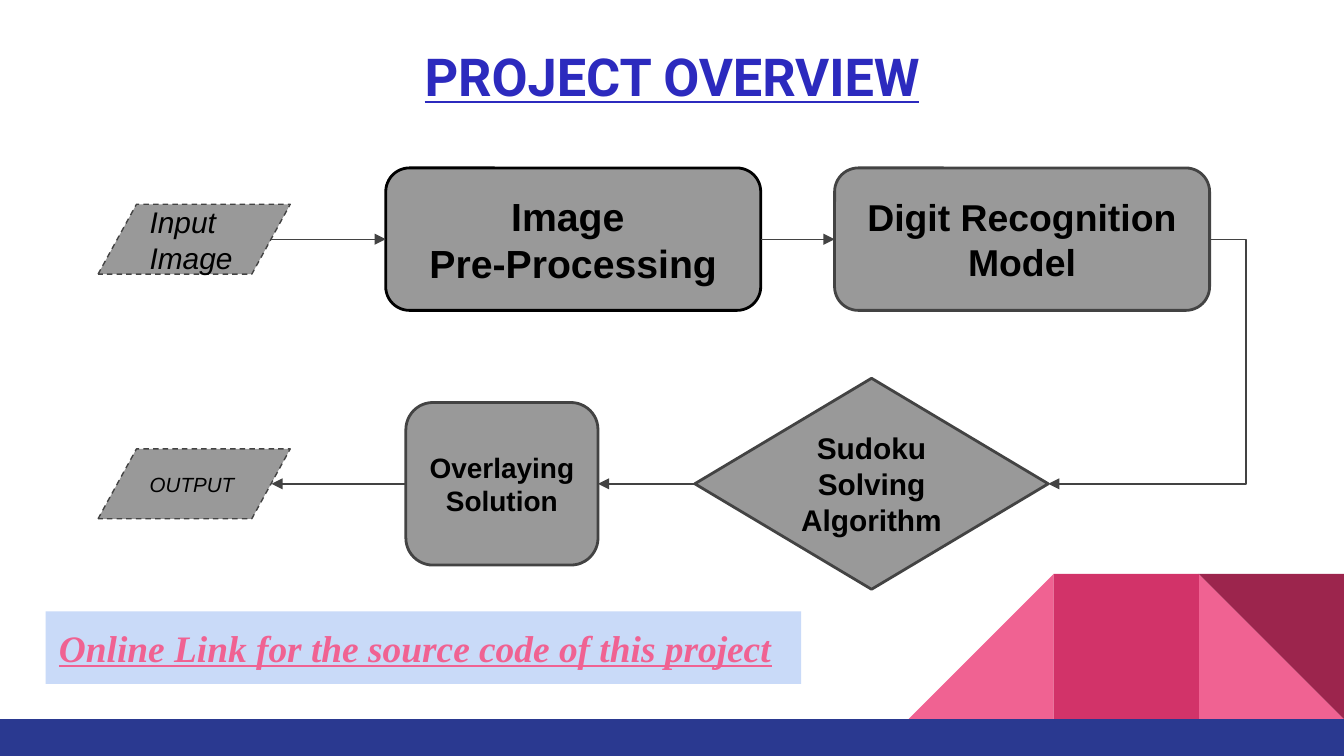
from dataclasses import dataclass
from typing import Optional

from lxml import etree
from pptx import Presentation
from pptx import util as u
from pptx.dml.color import RGBColor
from pptx.enum import dml, shapes, text
from pptx.oxml.ns import qn

COLORS = {
    "title": "2C2ABE", "node": "999999", "edge": "434343", "black": "000000",
    "pink": "F06292", "rose": "D23369", "wine": "9C254D", "navy": "2A3990",
    "banner": "C9DAF8",
}
KIND = shapes.MSO_SHAPE
SLIDE_WIDTH = 10
SLIDE_HEIGHT = SLIDE_WIDTH * 9 / 16
TOP_ROW, BOTTOM_ROW = 1.78, 3.6  # centre lines of the two rows
TILE = 1.08
TILE_TOP = 4.27


@dataclass
class Node:
    label: str
    kind: KIND
    left: float
    middle: float
    width: float
    height: float
    size: float
    edge: str = "edge"
    is_data: bool = False


@dataclass
class Arrow:
    start: tuple[float, float]
    end: tuple[float, float]
    bend: Optional[int] = None


@dataclass
class Tile:
    kind: KIND
    column: int
    color: str
    rotation: int = 0


NODES = [
    Node("Input Image", KIND.FLOWCHART_DATA, 0.73, TOP_ROW, 1.43, 0.52, 16, is_data=True),
    Node("Image \nPre-Processing", KIND.ROUNDED_RECTANGLE, 2.87, TOP_ROW, 2.79, 1.06, 21, "black"),
    Node("Digit Recognition Model", KIND.ROUNDED_RECTANGLE, 6.21, TOP_ROW, 2.79, 1.06, 20),
    Node("Sudoku Solving Algorithm", KIND.FLOWCHART_DECISION, 5.17, BOTTOM_ROW, 2.63, 1.57, 16),
    Node("Overlaying Solution", KIND.ROUNDED_RECTANGLE, 3.02, BOTTOM_ROW, 1.43, 1.21, 15),
    Node("OUTPUT", KIND.FLOWCHART_DATA, 0.73, BOTTOM_ROW, 1.43, 0.52, 11, is_data=True),
]
ARROWS = [
    Arrow((2.02, TOP_ROW), (2.87, TOP_ROW)),
    Arrow((5.66, TOP_ROW), (6.21, TOP_ROW)),
    Arrow((9.01, TOP_ROW), (7.8, BOTTOM_ROW), bend=-21600),
    Arrow((5.17, BOTTOM_ROW), (4.45, BOTTOM_ROW)),
    Arrow((3.02, BOTTOM_ROW), (2.02, BOTTOM_ROW)),
]
TILES = [
    Tile(KIND.RIGHT_TRIANGLE, 2, "pink"),
    Tile(KIND.RIGHT_TRIANGLE, 0, "pink", 270),
    Tile(KIND.RECTANGLE, 1, "rose"),
    Tile(KIND.RIGHT_TRIANGLE, 2, "wine", 180),
]


def rgb(name: str) -> RGBColor:
    return RGBColor.from_string(COLORS[name])


def add_shape(page, kind, left: float, top: float, width: float, height: float, fill: str):
    """Add a filled shape with no outline and no shadow."""
    shape = page.shapes.add_shape(
        kind, u.Inches(left), u.Inches(top), u.Inches(width), u.Inches(height))
    shape.shadow.inherit = False
    shape.fill.solid()
    shape.fill.fore_color.rgb = rgb(fill)
    shape.line.fill.background()
    return shape


def write(box, content: str, *, size: float, color: str = "black", font: str = "Arial",
          bold: bool = False, italic: bool = False, underline: bool = False,
          align=text.PP_ALIGN.CENTER, anchor=text.MSO_ANCHOR.TOP) -> None:
    frame = box.text_frame
    frame.word_wrap = True
    frame.vertical_anchor = anchor
    frame.margin_left = frame.margin_right = u.Inches(0.1)
    frame.margin_top = frame.margin_bottom = u.Inches(0.1)
    frame.text = content
    for para in frame.paragraphs:
        para.alignment = align
        for span in para.runs:
            span.font.name = font
            span.font.size = u.Pt(size)
            span.font.bold = bold
            span.font.italic = italic
            span.font.underline = underline
            span.font.color.rgb = rgb(color)


def draw_node(page, node: Node) -> None:
    shape = add_shape(page, node.kind, node.left, node.middle - node.height / 2,
                      node.width, node.height, "node")
    shape.line.color.rgb = rgb(node.edge)
    shape.line.width = u.Pt(0.75 if node.is_data else 1.5)
    if node.is_data:
        shape.line.dash_style = dml.MSO_LINE.DASH
    write(shape, node.label, size=node.size, bold=not node.is_data, italic=node.is_data,
          align=text.PP_ALIGN.LEFT if node.is_data else text.PP_ALIGN.CENTER,
          anchor=text.MSO_ANCHOR.MIDDLE)


def draw_arrow(page, arrow: Arrow) -> None:
    """Draw a straight arrow, or an elbow whose turn is set by bend (1/100000 of its width)."""
    kind = shapes.MSO_CONNECTOR.STRAIGHT if arrow.bend is None else shapes.MSO_CONNECTOR.ELBOW
    points = [u.Inches(value) for value in arrow.start + arrow.end]
    connector = page.shapes.add_connector(kind, *points)
    connector.line.color.rgb = rgb("edge")
    connector.line.width = u.Pt(0.75)
    properties = connector._element.spPr
    etree.SubElement(properties.find(qn("a:ln")), qn("a:tailEnd"), type="triangle")
    etree.SubElement(properties, qn("a:effectLst"))
    if arrow.bend is not None:
        geometry = properties.find(qn("a:prstGeom"))
        guides = geometry.find(qn("a:avLst"))
        if guides is None:
            guides = etree.SubElement(geometry, qn("a:avLst"))
        etree.SubElement(guides, qn("a:gd"), name="adj1", fmla=f"val {arrow.bend}")


def draw_tile(page, tile: Tile) -> None:
    left = SLIDE_WIDTH - (3 - tile.column) * TILE
    shape = add_shape(page, tile.kind, left, TILE_TOP, TILE, TILE, tile.color)
    shape.rotation = tile.rotation


def main() -> None:
    deck = Presentation()
    deck.slide_width, deck.slide_height = u.Inches(SLIDE_WIDTH), u.Inches(SLIDE_HEIGHT)
    page = deck.slides.add_slide(deck.slide_layouts[6])

    for tile in TILES:
        draw_tile(page, tile)
    floor_top = TILE_TOP + TILE
    add_shape(page, KIND.RECTANGLE, 0, floor_top, SLIDE_WIDTH, SLIDE_HEIGHT - floor_top, "navy")

    title = page.shapes.add_textbox(
        u.Inches(0.34), u.Inches(0.23), u.Inches(9.32), u.Inches(0.66))
    write(title, "PROJECT OVERVIEW", size=28, color="title", font="Roboto",
          bold=True, underline=True)

    for node in NODES:
        draw_node(page, node)
    for arrow in ARROWS:
        draw_arrow(page, arrow)

    banner = add_shape(page, KIND.RECTANGLE, 0.34, 4.55, 5.62, 0.54, "banner")
    write(banner, "Online Link for the source code of this project", size=20, color="pink",
          font="Times New Roman", bold=True, italic=True, underline=True,
          align=text.PP_ALIGN.LEFT)

    deck.save("out.pptx")


if __name__ == "__main__":
    main()
